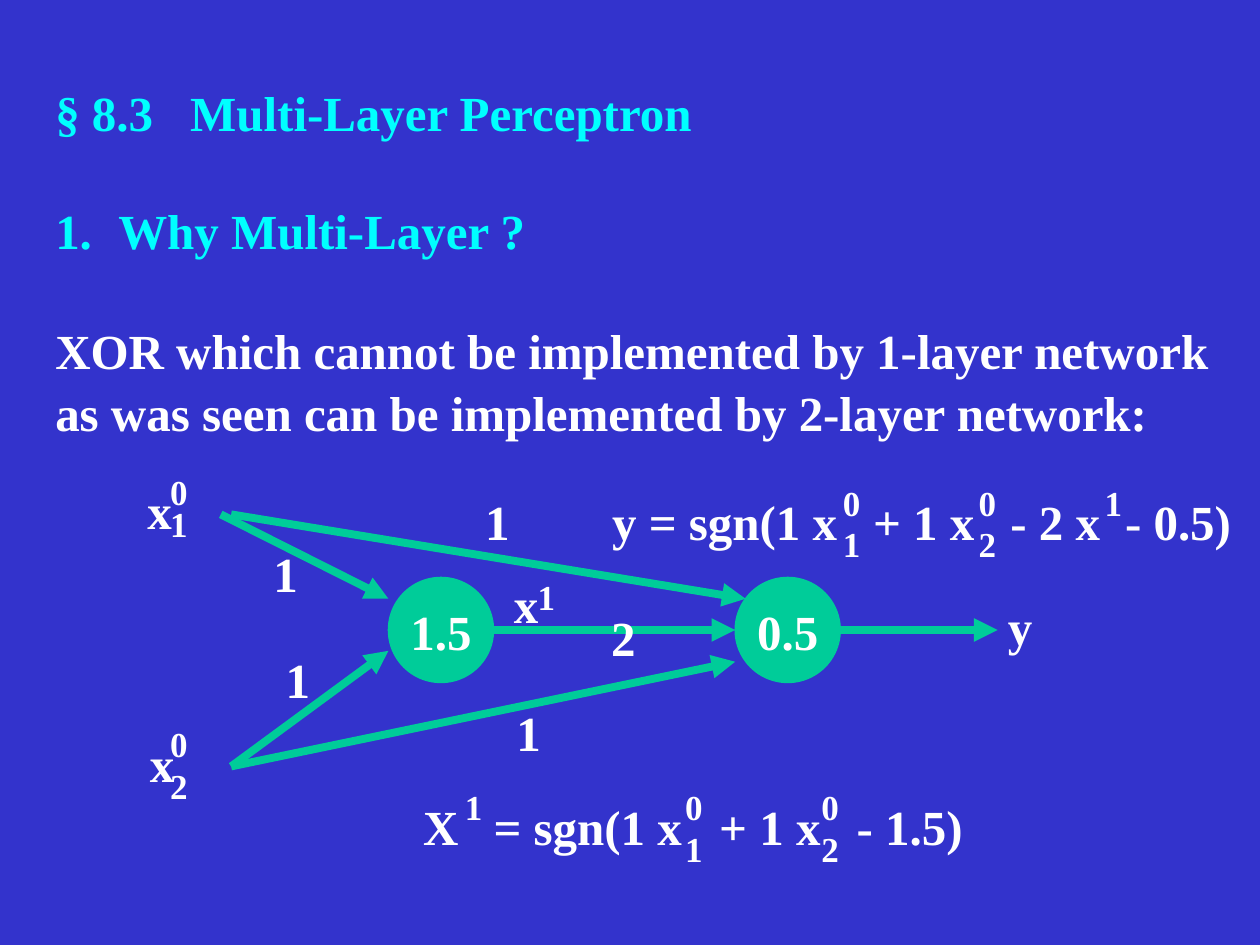
"""Build the slide that explains XOR with a two-layer perceptron."""
from lxml import etree
from pptx import Presentation
from pptx import util as u
from pptx.dml.color import RGBColor
from pptx.enum import shapes, text
from pptx.oxml import ns

BLUE = RGBColor(0x33, 0x33, 0xCC)
CYAN = RGBColor(0x00, 0xFF, 0xFF)
GREEN = RGBColor(0x00, 0xCC, 0x99)
WHITE = RGBColor(0xFF, 0xFF, 0xFF)
FONT = "Times New Roman"
LARGE, SMALL = 28, 20
LINE_SPACING = 1.05

TITLE = "§ 8.3\tMulti-Layer Perceptron"
TITLE_TAB, HEADING_TAB = 2.72, 1.24
BODY = [
    ("1.\tWhy Multi-Layer ?", CYAN),
    ("XOR which cannot be implemented by 1-layer network", WHITE),
    ("as was seen can be implemented by 2-layer network:", WHITE),
]
DIAMETER, AXIS = 2.12, 12.7
HIDDEN, OUTPUT = 7.83, 14.82
NEURONS = [("1.5", HIDDEN), ("0.5", OUTPUT)]
ARROWS = [
    ((HIDDEN + DIAMETER, AXIS), (OUTPUT, AXIS)),
    ((OUTPUT + DIAMETER, AXIS), (20.11, AXIS)),
    ((4.45, 10.37), (HIDDEN, 12.07)),
    ((4.66, 15.45), (HIDDEN, 13.12)),
    ((4.66, 10.37), (15.03, 12.07)),
    ((4.66, 15.45), (OUTPUT, 13.34)),
]
LABELS = [
    ("x", 2.72, 9.5), ("x", 2.77, 14.6), ("x", 10.11, 11.4), ("y", 20.07, 11.84),
    ("1", 5.26, 10.77), ("1", 5.51, 12.9), ("1", 9.53, 9.73), ("1", 10.16, 13.97),
    ("2", 12.07, 12.07),
]
FORMULAS = [
    ("X\t= sgn(1 x\t+ 1 x\t- 1.5)", 8.28, 15.88, 11.6, (1.42, 5.97, 8.74)),
    ("y = sgn(1 x\t+ 1 x\t- 2 x\t- 0.5)", 12.09, 9.73, 13.2, (5.26, 8.03, 10.34)),
]
SCRIPTS = [
    (3.18, [("0", 9.32), ("1", 9.96)]),
    (3.18, [("0", 14.4), ("2", 15.24)]),
    (10.59, [("1", 11.43)]),
    (9.12, [("1", 15.67)]),
    (13.56, [("0", 15.67), ("1", 16.51)]),
    (16.31, [("0", 15.67), ("2", 16.51)]),
    (16.74, [("0", 9.53), ("1", 10.36)]),
    (19.48, [("0", 9.53), ("2", 10.36)]),
    (22.02, [("1", 9.53)]),
]


def place(shape, left, top, width, height):
    shape.left, shape.top = u.Cm(left), u.Cm(top)
    shape.width, shape.height = u.Cm(width), u.Cm(height)


def write(paragraph, words, color=WHITE, size=LARGE, tabs=()):
    paragraph.line_spacing = LINE_SPACING
    paragraph.space_before = u.Pt(0)
    run = paragraph.add_run()
    run.text = words
    run.font.name, run.font.size, run.font.bold = FONT, u.Pt(size), True
    run.font.color.rgb = color
    if tabs:
        tab_list = etree.SubElement(paragraph._p.get_or_add_pPr(), ns.qn("a:tabLst"))
        for position in tabs:
            etree.SubElement(tab_list, ns.qn("a:tab"), pos=str(u.Cm(position)), algn="l")


def add_label(slide, words, left, top, size=LARGE, width=None, tabs=()):
    default_width, height = (1.0, 1.45) if size == LARGE else (0.87, 1.11)
    box = slide.shapes.add_textbox(0, 0, 0, 0)
    place(box, left, top, width or default_width, height)
    box.text_frame.word_wrap = width is not None
    write(box.text_frame.paragraphs[0], words, size=size, tabs=tabs)


def fill_placeholders(slide):
    title, body = slide.placeholders
    place(title, 0.86, 1.47, 23.8, 1.45)
    place(body, 0.86, 3.85, 24.2, 5)
    for shape in (title, body):
        shape.text_frame.vertical_anchor = text.MSO_ANCHOR.TOP
        shape.text_frame.auto_size = text.MSO_AUTO_SIZE.NONE
    heading = title.text_frame.paragraphs[0]
    heading.alignment = text.PP_ALIGN.LEFT
    write(heading, TITLE, CYAN, tabs=[TITLE_TAB])
    for index, (words, color) in enumerate(BODY):
        frame = body.text_frame
        paragraph = frame.add_paragraph() if index else frame.paragraphs[0]
        properties = paragraph._p.get_or_add_pPr()
        properties.set("marL", "0")
        properties.set("indent", "0")
        etree.SubElement(properties, ns.qn("a:buNone"))
        write(paragraph, words, color, tabs=[HEADING_TAB] if "\t" in words else ())
    body.text_frame.paragraphs[0].space_after = u.Pt(33.7)


def add_neuron(slide, words, left):
    neuron = slide.shapes.add_shape(shapes.MSO_SHAPE.OVAL, 0, 0, 0, 0)
    place(neuron, left, AXIS - DIAMETER / 2, DIAMETER, DIAMETER)
    neuron.shadow.inherit = False
    neuron.fill.solid()
    neuron.fill.fore_color.rgb = neuron.line.color.rgb = GREEN
    neuron.line.width = u.Pt(0.75)
    neuron.text_frame.word_wrap = False
    neuron.text_frame.vertical_anchor = text.MSO_ANCHOR.MIDDLE
    paragraph = neuron.text_frame.paragraphs[0]
    paragraph.alignment = text.PP_ALIGN.CENTER
    write(paragraph, words)


def add_arrow(slide, start, end):
    points = [u.Cm(value) for value in start + end]
    arrow = slide.shapes.add_connector(shapes.MSO_CONNECTOR.STRAIGHT, *points)
    arrow.line.color.rgb = GREEN
    arrow.line.width = u.Pt(4.5)
    etree.SubElement(arrow.line._get_or_add_ln(), ns.qn("a:tailEnd"), type="triangle")
    etree.SubElement(arrow._element.spPr, ns.qn("a:effectLst"))


def main():
    presentation = Presentation()
    presentation.slide_width, presentation.slide_height = u.Cm(25.4), u.Cm(19.05)
    slide = presentation.slides.add_slide(presentation.slide_layouts[1])
    slide.background.fill.solid()
    slide.background.fill.fore_color.rgb = BLUE
    fill_placeholders(slide)
    for words, left in NEURONS:
        add_neuron(slide, words, left)
    for start, end in ARROWS:
        add_arrow(slide, start, end)
    for words, left, top in LABELS:
        add_label(slide, words, left, top)
    for words, left, top, width, tabs in FORMULAS:
        add_label(slide, words, left, top, width=width, tabs=tabs)
    for left, stack in SCRIPTS:
        for words, top in stack:
            add_label(slide, words, left, top, SMALL)
    presentation.save("out.pptx")


if __name__ == "__main__":
    main()
